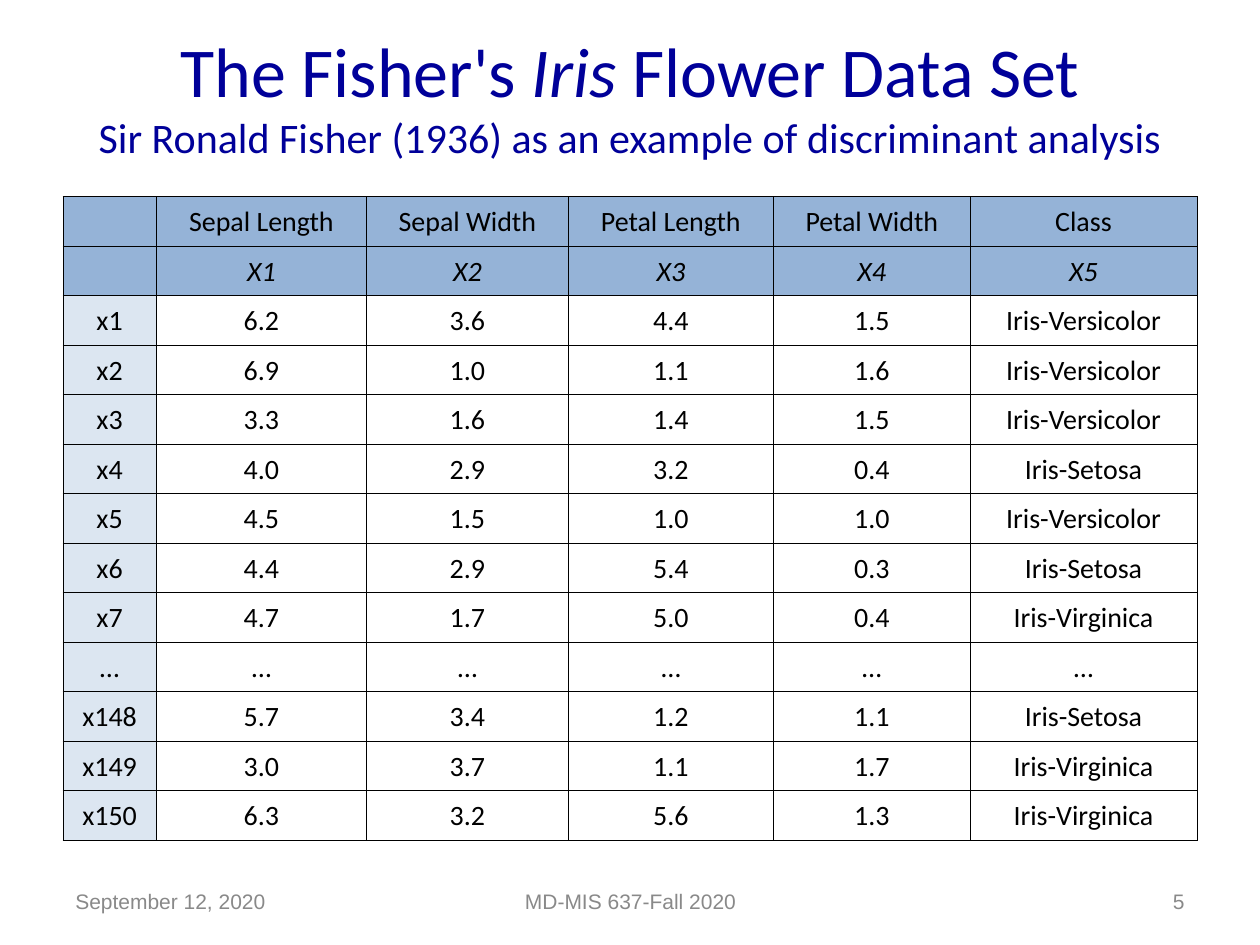
from lxml import etree
from pptx import Presentation
from pptx.dml.color import RGBColor
from pptx.enum.text import MSO_ANCHOR, PP_ALIGN
from pptx.oxml.ns import qn
from pptx.util import Inches, Pt

MIDDLE = MSO_ANCHOR.MIDDLE
LEFT, CENTER, RIGHT = PP_ALIGN.LEFT, PP_ALIGN.CENTER, PP_ALIGN.RIGHT
NAVY = RGBColor(0x00, 0x00, 0x99)
GRAY = RGBColor(0x89, 0x89, 0x89)
BLACK = RGBColor(0x00, 0x00, 0x00)
HEADER_BLUE = RGBColor(0x95, 0xB3, 0xD7)
LABEL_BLUE = RGBColor(0xDC, 0xE6, 0xF1)

HEADER_ROWS = 2
COLUMN_WIDTHS = [0.74, 1.67, 1.6, 1.63, 1.56, 1.8]
IRIS_ROWS = [
    ["", "Sepal Length", "Sepal Width", "Petal Length", "Petal Width", "Class"],
    ["", "X1", "X2", "X3", "X4", "X5"],
    ["x1", "6.2", "3.6", "4.4", "1.5", "Iris-Versicolor"],
    ["x2", "6.9", "1.0", "1.1", "1.6", "Iris-Versicolor"],
    ["x3", "3.3", "1.6", "1.4", "1.5", "Iris-Versicolor"],
    ["x4", "4.0", "2.9", "3.2", "0.4", "Iris-Setosa"],
    ["x5", "4.5", "1.5", "1.0", "1.0", "Iris-Versicolor"],
    ["x6", "4.4", "2.9", "5.4", "0.3", "Iris-Setosa"],
    ["x7", "4.7", "1.7", "5.0", "0.4", "Iris-Virginica"],
    ["…"] * 6,
    ["x148", "5.7", "3.4", "1.2", "1.1", "Iris-Setosa"],
    ["x149", "3.0", "3.7", "1.1", "1.7", "Iris-Virginica"],
    ["x150", "6.3", "3.2", "5.6", "1.3", "Iris-Virginica"],
]


def add_run(paragraph, text, size, color, font="Calibri", italic=False):
    run = paragraph.add_run()
    run.text = text
    run.font.size = Pt(size)
    run.font.name = font
    run.font.italic = italic
    run.font.bold = False
    run.font.color.rgb = color


def add_borders(cell):
    properties = cell._tc.get_or_add_tcPr()
    for side in ("a:lnL", "a:lnR", "a:lnT", "a:lnB"):
        line = etree.SubElement(properties, qn(side), w=str(Pt(0.5)))
        solid = etree.SubElement(line, qn("a:solidFill"))
        etree.SubElement(solid, qn("a:srgbClr"), val=str(BLACK))


prs = Presentation()
prs.slide_width = Inches(10)
prs.slide_height = Inches(7.5)
slide = prs.slides.add_slide(prs.slide_layouts[5])

title = slide.shapes.title
title.left, title.top = Inches(0.25), Inches(0)
title.width, title.height = Inches(9.5), Inches(1.5)
title.text_frame.vertical_anchor = MIDDLE
heading = title.text_frame.paragraphs[0]
heading.alignment = CENTER
add_run(heading, "The Fisher's ", 40, NAVY)
add_run(heading, "Iris", 40, NAVY, italic=True)
add_run(heading, " Flower Data Set", 40, NAVY)
heading.add_line_break()
add_run(heading, "Sir Ronald Fisher (1936) as an example of discriminant analysis", 24, NAVY)

for text, left, width, alignment in [
    ("September 12, 2020", 0.5, 2.33, LEFT),
    ("MD-MIS 637-Fall 2020", 3.42, 3.17, CENTER),
    ("5", 7.17, 2.33, RIGHT),
]:
    footer = slide.shapes.add_textbox(
        Inches(left), Inches(6.95), Inches(width), Inches(0.4)).text_frame
    footer.word_wrap = True
    footer.vertical_anchor = MIDDLE
    footer.paragraphs[0].alignment = alignment
    add_run(footer.paragraphs[0], text, 12, GRAY, font="Arial")

iris_table = slide.shapes.add_table(
    len(IRIS_ROWS), len(COLUMN_WIDTHS),
    Inches(0.5), Inches(1.56), Inches(9), Inches(5.11)).table
iris_table.first_row = False
iris_table.horz_banding = False
for column, width in zip(iris_table.columns, COLUMN_WIDTHS):
    column.width = Inches(width)

for row, values in enumerate(IRIS_ROWS):
    for col, value in enumerate(values):
        cell = iris_table.cell(row, col)
        cell.vertical_anchor = MIDDLE
        cell.margin_left = cell.margin_right = cell.margin_top = Inches(0.01)
        cell.margin_bottom = Inches(0)
        add_borders(cell)
        if row < HEADER_ROWS:
            cell.fill.solid()
            cell.fill.fore_color.rgb = HEADER_BLUE
        elif col == 0:
            cell.fill.solid()
            cell.fill.fore_color.rgb = LABEL_BLUE
        else:
            cell.fill.background()
        if value:
            paragraph = cell.text_frame.paragraphs[0]
            paragraph.alignment = CENTER
            add_run(paragraph, value, 16, BLACK, italic=row == 1)

prs.save("out.pptx")
